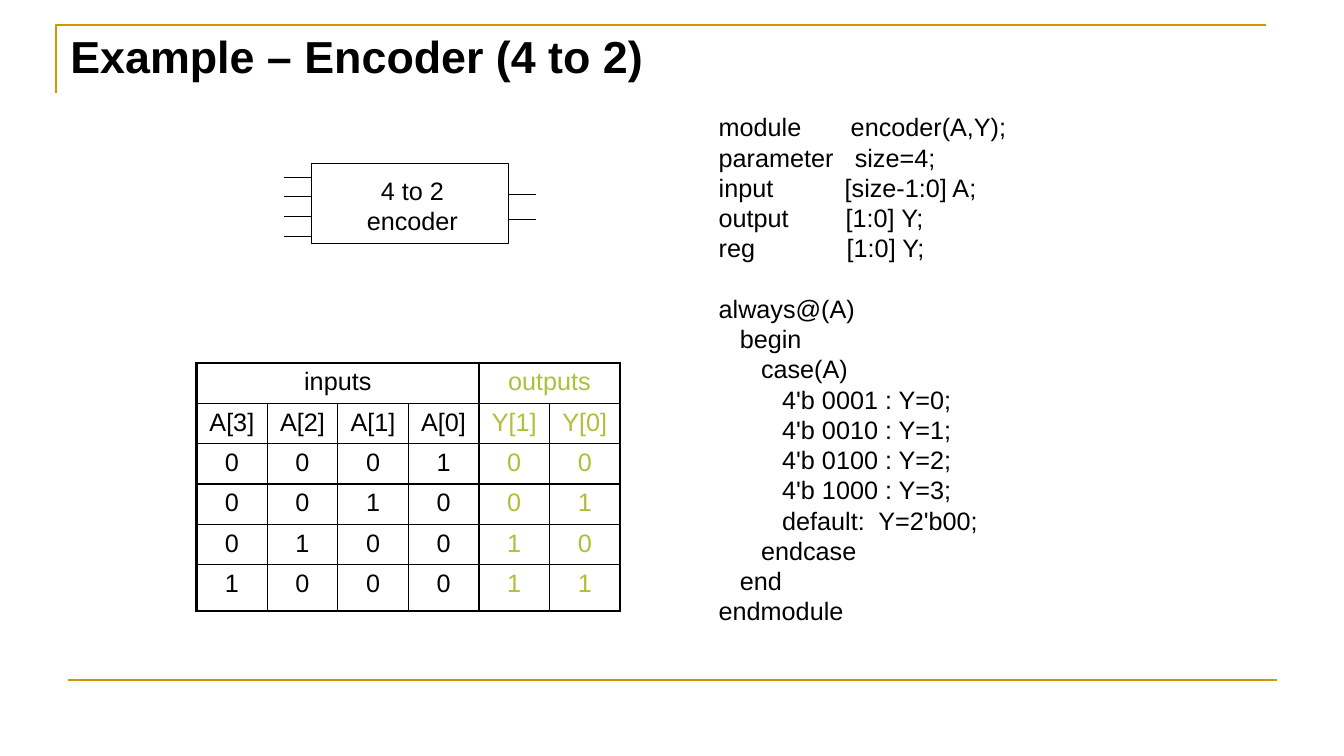
"""Builds the slide on a 4 to 2 encoder: block symbol, truth table and code."""
from dataclasses import dataclass

from lxml import etree
from pptx import Presentation
from pptx import util as u
from pptx.dml.color import RGBColor
from pptx.enum import shapes, text
from pptx.oxml.ns import qn

PX = 9144
LEVEL = 21


@dataclass(frozen=True)
class Theme:
    font: str = "Arial"
    ink: str = "000000"
    gold: str = "CC9900"
    output: str = "AFBF39"
    title: int = 32
    body: int = 18
    blank_line: float = 21.6
    rule: float = 1.5
    thin: float = 0.75
    grid: float = 1
    frame: float = 2.25


T = Theme()
DECLARATIONS = [
    ("module", "encoder(A,Y);", 131),
    ("parameter", "size=4;", 135),
    ("input", "[size-1:0] A;", 125),
    ("output", "[1:0] Y;", 126),
    ("reg", "[1:0] Y;", 127),
]
STATEMENTS = [
    (0, "always@(A)"),
    (1, "begin"),
    (2, "case(A)"),
    (3, "4'b 0001 : Y=0;"),
    (3, "4'b 0010 : Y=1;"),
    (3, "4'b 0100 : Y=2;"),
    (3, "4'b 1000 : Y=3;"),
    (3, "default:  Y=2'b00;"),
    (2, "endcase"),
    (1, "end"),
    (0, "endmodule"),
]
INPUTS = 4
TRUTH = [
    ["inputs", "", "", "", "outputs", ""],
    ["A[3]", "A[2]", "A[1]", "A[0]", "Y[1]", "Y[0]"],
    *["000100", "001001", "010010", "100011"],
]


def px(*values):
    return [u.Emu(v * PX) for v in values]


def add_run(p, words, size=T.body, color=T.ink, bold=False):
    r = p.add_run()
    r.text = words
    r.font.name, r.font.size, r.font.bold = T.font, u.Pt(size), bold
    r.font.color.rgb = RGBColor.from_string(color)


def indent(p, width):
    p._p.get_or_add_pPr().set("marL", str(width * PX))


def tab_stop(p, width):
    tabs = etree.SubElement(p._p.get_or_add_pPr(), qn("a:tabLst"))
    etree.SubElement(tabs, qn("a:tab"), pos=str(width * PX), algn="l")


def add_text(s, box, wrap=False):
    tf = s.shapes.add_textbox(*px(*box)).text_frame
    tf.word_wrap = wrap
    tf.auto_size = text.MSO_AUTO_SIZE.SHAPE_TO_FIT_TEXT
    return tf


def next_paragraph(tf):
    return tf.add_paragraph() if tf.paragraphs[0].runs else tf.paragraphs[0]


def style_line(sp, color, width):
    sp.line.color.rgb = RGBColor.from_string(color)
    sp.line.width = u.Pt(width)


def add_line(s, x1, x2, y, color=T.ink, width=T.thin):
    sp = s.shapes.add_connector(shapes.MSO_CONNECTOR.STRAIGHT, *px(x1, y, x2, y))
    style_line(sp, color, width)
    etree.SubElement(sp._element.spPr, qn("a:effectLst"))


def add_corner(s):
    builder = s.shapes.build_freeform(56, 92, scale=PX)
    builder.add_line_segments([(56, 25), (1256, 25)], close=False)
    sp = builder.convert_to_shape()
    sp.shadow.inherit = False
    sp.fill.background()
    style_line(sp, T.gold, T.rule)


def add_symbol(s):
    sp = s.shapes.add_shape(shapes.MSO_SHAPE.RECTANGLE, *px(309, 162, 195, 80))
    sp.shadow.inherit = False
    sp.fill.background()
    style_line(sp, T.ink, T.thin)
    tf = add_text(s, (354, 169, 110, 70))
    for words, left in (("4 to 2", 14), ("encoder", 0)):
        p = next_paragraph(tf)
        indent(p, left)
        add_run(p, words)
    for y in (176, 195, 215, 235):
        add_line(s, 282, 309, y)
    for y in (193, 218):
        add_line(s, 505, 532, y)


def set_borders(cell, widths):
    tcPr = cell._tc.get_or_add_tcPr()
    for i, (side, width) in enumerate(widths.items()):
        ln = etree.Element(qn("a:ln" + side), w=str(u.Pt(width)))
        fill = etree.SubElement(ln, qn("a:solidFill"))
        etree.SubElement(fill, qn("a:srgbClr"), val=T.ink)
        tcPr.insert(i, ln)


def add_truth_table(s):
    rows, cols = len(TRUTH), len(TRUTH[0])
    table = s.shapes.add_table(rows, cols, *px(195, 360, 420, 246)).table
    table.first_row = table.horz_banding = False
    for col in table.columns:
        col.width = u.Emu(70 * PX)
    for i, row in enumerate(table.rows):
        row.height = u.Emu((46 if i == rows - 1 else 40) * PX)
    table.cell(0, 0).merge(table.cell(0, INPUTS - 1))
    table.cell(0, INPUTS).merge(table.cell(0, cols - 1))
    for i, values in enumerate(TRUTH):
        for j, value in enumerate(values):
            cell = table.cell(i, j)
            cell.fill.background()
            edges = {"L": j == 0, "R": j == cols - 1, "T": i == 0, "B": i == rows - 1}
            set_borders(cell, {k: T.frame if outer else T.grid for k, outer in edges.items()})
            if value:
                p = cell.text_frame.paragraphs[0]
                p.alignment = text.PP_ALIGN.CENTER
                add_run(p, value, color=T.ink if j < INPUTS else T.output)


def add_code(s):
    tf = add_text(s, (703, 106, 400, 521), wrap=True)
    for keyword, rest, stop in DECLARATIONS:
        p = next_paragraph(tf)
        tab_stop(p, stop)
        add_run(p, f"{keyword}\t{rest}")
    for i, (level, words) in enumerate(STATEMENTS):
        p = next_paragraph(tf)
        indent(p, level * LEVEL)
        if i == 0:
            p.space_before = u.Pt(T.blank_line)
        add_run(p, words)


def main():
    prs = Presentation()
    prs.slide_width, prs.slide_height = px(1333, 750)
    s = prs.slides.add_slide(prs.slide_layouts[6])
    add_corner(s)
    add_line(s, 67, 1267, 675, T.gold, T.rule)
    tf = add_text(s, (60, 24, 593, 64))
    add_run(tf.paragraphs[0], "Example – Encoder (4 to 2)", T.title, bold=True)
    add_truth_table(s)
    add_code(s)
    add_symbol(s)
    prs.save("out.pptx")


if __name__ == "__main__":
    main()
